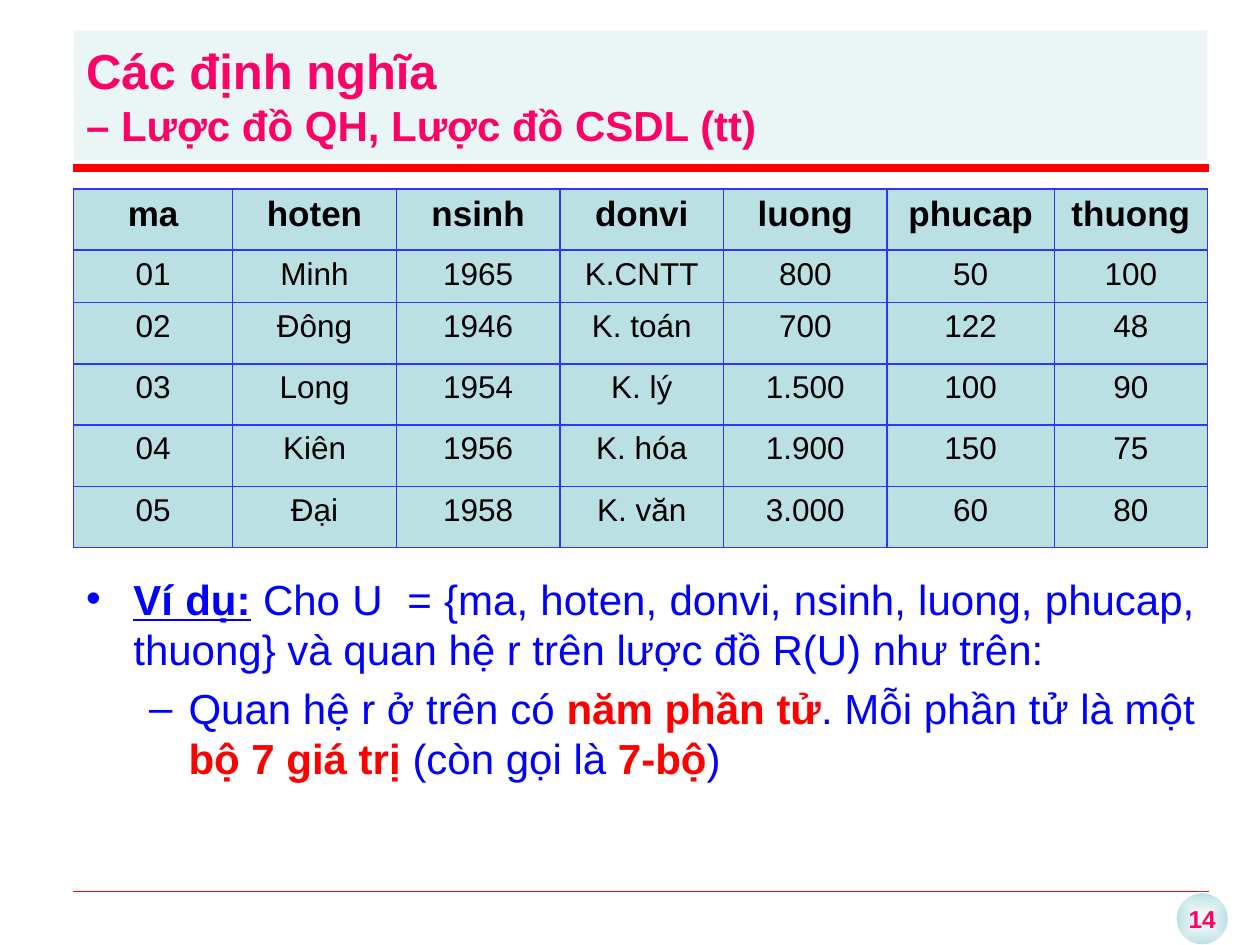
from dataclasses import dataclass

from lxml import etree
from pptx import Presentation, util as u
from pptx.dml.color import RGBColor
from pptx.enum import shapes, text
from pptx.oxml import ns, parse_xml

Pt = u.Pt


@dataclass(frozen=True)
class Theme:
    font: str = "Arial"
    pink: str = "FF0066"
    red: str = "FF0000"
    blue: str = "0000FF"
    grid: str = "3333FF"
    teal: str = "BBE0E3"
    white: str = "FFFFFF"
    black: str = "000000"
    title: int = 28
    body: int = 24
    header: int = 20
    cell: int = 18
    number: int = 14


def rgb(value):
    return RGBColor.from_string(value)


def xml(source):
    return parse_xml(source.replace(">", f" {ns.nsdecls('a')}>", 1))


class Deck:
    def __init__(self, theme):
        self.theme = theme
        self.prs = Presentation()
        self.prs.slide_width, self.prs.slide_height = Pt(720), Pt(540)
        self.s = self.prs.slides.add_slide(self.prs.slide_layouts[1])

    def style(self, font, size, color, bold=None):
        font.name, font.size, font.bold = self.theme.font, Pt(size), bold
        font.color.rgb = rgb(color)

    def place(self, sp, x, y, w, h, fill):
        sp.left, sp.top, sp.width, sp.height = Pt(x), Pt(y), Pt(w), Pt(h)
        sp.fill.solid()
        sp.fill.fore_color.rgb = rgb(fill)
        sp.text_frame.word_wrap = True
        sp.text_frame.auto_size = text.MSO_AUTO_SIZE.NONE
        return sp.text_frame

    def title(self, first, second, *box):
        t, sp = self.theme, self.s.shapes.title
        tf = self.place(sp, *box, t.teal)
        color = sp.fill._xPr.find(".//" + ns.qn("a:srgbClr"))
        etree.SubElement(color, ns.qn("a:alpha"), val="30000")
        tf.vertical_anchor = text.MSO_ANCHOR.MIDDLE
        p = tf.paragraphs[0]
        p.alignment = text.PP_ALIGN.LEFT
        self.style(p.font, t.title, t.pink, True)
        p.add_run().text = first
        p.add_line_break()
        r = p.add_run()
        r.text, r.font.size = second, Pt(t.body)

    def bullets(self, items, *box):
        """Each item is a list of (text, kind) runs; its position is its level."""
        t = self.theme
        tf = self.place(self.s.placeholders[1], *box, t.white)
        for level, runs in enumerate(items):
            p = tf.add_paragraph() if level else tf.paragraphs[0]
            p.level, p.alignment = level, text.PP_ALIGN.JUSTIFY
            self.style(p.font, t.body, t.blue)
            for words, kind in runs:
                r = p.add_run()
                r.text = words
                if kind == "lead":
                    r.font.bold = r.font.underline = True
                elif kind == "key":
                    r.font.bold = True
                    r.font.color.rgb = rgb(t.red)

    def line(self, x1, x2, y, width):
        cx = self.s.shapes.add_connector(
            shapes.MSO_CONNECTOR.STRAIGHT, Pt(x1), Pt(y), Pt(x2), Pt(y))
        cx.line.color.rgb, cx.line.width = rgb(self.theme.red), Pt(width)
        etree.SubElement(cx._element.spPr, ns.qn("a:effectLst"))

    def table(self, rows, x, y, widths, heights):
        t = self.theme
        tbl = self.s.shapes.add_table(
            len(rows), len(widths), Pt(x), Pt(y), Pt(sum(widths)), Pt(sum(heights))).table
        for col, w in zip(tbl.columns, widths):
            col.width = Pt(w)
        for i, (row, h) in enumerate(zip(rows, heights)):
            tbl.rows[i].height = Pt(h)
            for j, words in enumerate(row):
                cell = tbl.cell(i, j)
                cell.text = words
                p = cell.text_frame.paragraphs[0]
                p.alignment = text.PP_ALIGN.CENTER
                self.style(p.font, t.cell if i else t.header, t.black, i == 0)
                self.borders(cell)
                cell.fill.solid()
                cell.fill.fore_color.rgb = rgb(t.teal)

    def borders(self, cell):
        for side in "LRTB":
            cell._tc.get_or_add_tcPr().append(xml(
                f'<a:ln{side} w="{Pt(1)}"><a:solidFill>'
                f'<a:srgbClr val="{self.theme.grid}"/></a:solidFill></a:ln{side}>'))

    def badge(self, words, x, y, size):
        t = self.theme
        sp = self.s.shapes.add_shape(
            shapes.MSO_SHAPE.OVAL, Pt(x), Pt(y), Pt(size), Pt(size))
        sp.shadow.inherit = False
        sp.line.color.rgb, sp.line.width = rgb(t.white), Pt(0.75)
        sp._element.spPr.find(ns.qn("a:prstGeom")).addnext(xml(
            '<a:gradFill><a:gsLst>'
            f'<a:gs pos="0"><a:srgbClr val="{t.white}"/></a:gs>'
            f'<a:gs pos="100000"><a:srgbClr val="{t.teal}"/></a:gs></a:gsLst>'
            '<a:path path="shape"><a:fillToRect l="50000" t="50000" r="50000" b="50000"/>'
            '</a:path></a:gradFill>'))
        tf = sp.text_frame
        tf.word_wrap, tf.vertical_anchor = False, text.MSO_ANCHOR.MIDDLE
        p = tf.paragraphs[0]
        p.text, p.alignment = words, text.PP_ALIGN.CENTER
        self.style(p.font, t.number, t.pink, True)


deck = Deck(Theme())
LEFT, WIDTH, RIGHT = 42, 648, 691

# Heading and rules
deck.title("Các định nghĩa", "– Lược đồ QH, Lược đồ CSDL (tt)", LEFT, 17.5, WIDTH, 74)
deck.line(LEFT, RIGHT, 96, 4.5)
deck.line(LEFT, RIGHT, 509, 0.25)

# Relation r
deck.table([
    ["ma", "hoten", "nsinh", "donvi", "luong", "phucap", "thuong"],
    ["01", "Minh", "1965", "K.CNTT", "800", "50", "100"],
    ["02", "Đông", "1946", "K. toán", "700", "122", "48"],
    ["03", "Long", "1954", "K. lý", "1.500", "100", "90"],
    ["04", "Kiên", "1956", "K. hóa", "1.900", "150", "75"],
    ["05", "Đại", "1958", "K. văn", "3.000", "60", "80"],
], LEFT, 108, [91] + [93.5] * 4 + [95.5, 87.5], [35, 30] + [35] * 4)

# Example
deck.bullets([
    [("Ví dụ:", "lead"),
     (" Cho U  = {ma, hoten, donvi, nsinh, luong, phucap, thuong} "
      "và quan hệ r trên lược đồ R(U) như trên:", "")],
    [("Quan hệ r ở trên có ", ""), ("năm phần tử", "key"),
     (". Mỗi phần tử là một ", ""), ("bộ 7 giá trị ", "key"),
     ("(còn gọi là ", ""), ("7-bộ", "key"), (")", "")],
], LEFT, 324, WIDTH, 174)

# Slide number
deck.badge("14", 672, 510, 30)

deck.prs.save("out.pptx")
